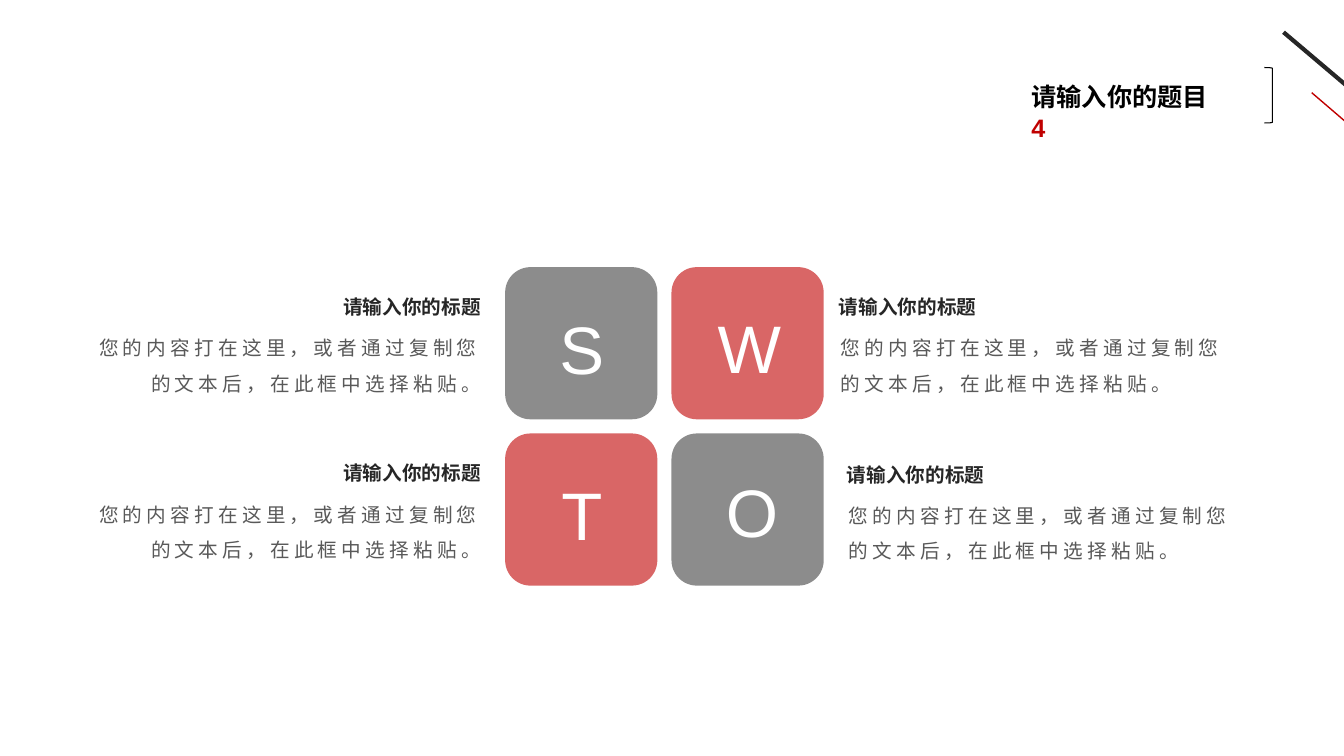
from dataclasses import dataclass

from lxml import etree
from pptx import Presentation
from pptx import util as u
from pptx.dml.color import RGBColor
from pptx.enum import shapes, text
from pptx.oxml import ns


@dataclass(frozen=True)
class Theme:
    latin: str = "Arial"
    chinese: str = "Noto Sans CJK SC"
    black: str = "000000"
    dark: str = "262626"
    gray: str = "404040"
    body: str = "595959"
    red: str = "C00000"
    white: str = "FFFFFF"
    title_size: int = 18
    text_size: int = 14
    letter_size: int = 48


THEME = Theme()
HEADING = "请输入你的标题"
BODY = "您的内容打在这里，或者通过复制您的文本后，在此框中选择粘贴。"
TILE_SIZE, TILE_STEP = 1.51, 1.65
TILE_LEFT, TILE_TOP = 5.01, 2.65
LEFT, RIGHT = text.PP_ALIGN.LEFT, text.PP_ALIGN.RIGHT


def box(*lengths):
    return [u.Inches(length) for length in lengths]


def apply(target, formats):
    for name, value in formats.items():
        setattr(target, name, value)


def add_run(paragraph, words, color, size, font, bold=False, spacing=0):
    run = paragraph.add_run()
    run.text = words
    apply(run.font, {"name": font, "size": u.Pt(size), "bold": bold})
    run.font.color.rgb = RGBColor.from_string(color)
    properties = run._r.get_or_add_rPr()
    if spacing:
        properties.set("spc", str(spacing * 100))
    east_asian = etree.Element(ns.qn("a:ea"), typeface=THEME.chinese)
    properties.find(ns.qn("a:latin")).addnext(east_asian)


def add_title(slide):
    title = slide.shapes.title
    left, top, width, height = box(10.13, 0.76, 2.25, 0.4)
    apply(title, {"left": left, "top": top, "width": width, "height": height})
    apply(title.text_frame, {
        "word_wrap": False,
        "auto_size": text.MSO_AUTO_SIZE.NONE,
        "vertical_anchor": text.MSO_ANCHOR.TOP,
    })
    paragraph = title.text_frame.paragraphs[0]
    paragraph.alignment = LEFT
    add_run(paragraph, "请输入你的题目", THEME.black, THEME.title_size, THEME.latin, bold=True)
    paragraph.add_line_break()
    add_run(paragraph, "4", THEME.red, THEME.title_size, THEME.latin, bold=True)


def add_text(slide, place, words, color, size, font, wrap=True, inset=(0.1, 0.05),
             align=LEFT, line_spacing=1.0, **run_formats):
    frame = slide.shapes.add_textbox(*box(*place)).text_frame
    across, down = box(*inset)
    apply(frame, {
        "word_wrap": wrap,
        "margin_left": across, "margin_right": across,
        "margin_top": down, "margin_bottom": down,
    })
    paragraph = frame.paragraphs[0]
    apply(paragraph, {"alignment": align, "line_spacing": line_spacing})
    add_run(paragraph, words, color, size, font, **run_formats)


def add_line(slide, ends, color, width):
    line = slide.shapes.add_connector(shapes.MSO_CONNECTOR.STRAIGHT, *box(*ends))
    line.line.color.rgb = RGBColor.from_string(color)
    line.line.width = u.Pt(width)
    etree.SubElement(line._element.spPr, ns.qn("a:effectLst"))


def add_bracket(slide):
    bracket = slide.shapes.add_shape(
        shapes.MSO_SHAPE.LEFT_BRACKET, *box(12.54, 0.67, 0.08, 0.55))
    bracket.shadow.inherit = False
    bracket.fill.background()
    bracket.line.color.rgb = RGBColor.from_string(THEME.black)
    bracket.line.width = u.Pt(0.75)
    bracket._element.spPr.find(ns.qn("a:xfrm")).set("flipH", "1")


def add_tile(slide, row, column):
    color = THEME.gray if row == column else THEME.red
    tile = slide.shapes.add_shape(
        shapes.MSO_SHAPE.ROUNDED_RECTANGLE,
        *box(TILE_LEFT + column * TILE_STEP, TILE_TOP + row * TILE_STEP, TILE_SIZE, TILE_SIZE))
    tile.shadow.inherit = False
    tile.fill.solid()
    tile.fill.fore_color.rgb = RGBColor.from_string(color)
    tile.line.fill.background()
    fill_color = tile._element.spPr.find(".//" + ns.qn("a:srgbClr"))
    etree.SubElement(fill_color, ns.qn("a:alpha"), val="60000")


def add_topic(slide, heading_left, body_left, top, align):
    inset = (0.24, 0.12)
    add_text(slide, (heading_left, top, 1.86, 0.48), HEADING, THEME.dark, THEME.text_size,
             THEME.chinese, wrap=False, inset=inset, align=align, bold=True)
    add_text(slide, (body_left, top + 0.29, 4.35, 0.95), BODY, THEME.body, THEME.text_size,
             THEME.chinese, inset=inset, align=align, line_spacing=1.5, spacing=3)


def main():
    presentation = Presentation()
    presentation.slide_width, presentation.slide_height = box(13.33, 7.5)
    slide = presentation.slides.add_slide(presentation.slide_layouts[5])

    add_line(slide, (12.73, 0.32, 13.58, 1.04), THEME.dark, 3)
    add_line(slide, (13.01, 0.92, 13.43, 1.28), THEME.red, 1)
    add_title(slide)
    add_bracket(slide)

    quadrants = [
        ("S", 0, 0, 5.45, 3.0),
        ("W", 0, 1, 7.02, 2.99),
        ("T", 1, 0, 5.47, 4.65),
        ("O", 1, 1, 7.1, 4.62),
    ]
    for letter, row, column, left, top in quadrants:
        add_tile(slide, row, column)
        add_text(slide, (left, top, 0.58, 0.91), letter, THEME.white,
                 THEME.letter_size, THEME.latin)

    topics = [
        (3.15, 0.66, 2.81, RIGHT),
        (8.08, 8.1, 2.81, LEFT),
        (3.15, 0.66, 4.46, RIGHT),
        (8.16, 8.18, 4.47, LEFT),
    ]
    for topic in topics:
        add_topic(slide, *topic)

    presentation.save("out.pptx")


if __name__ == "__main__":
    main()
